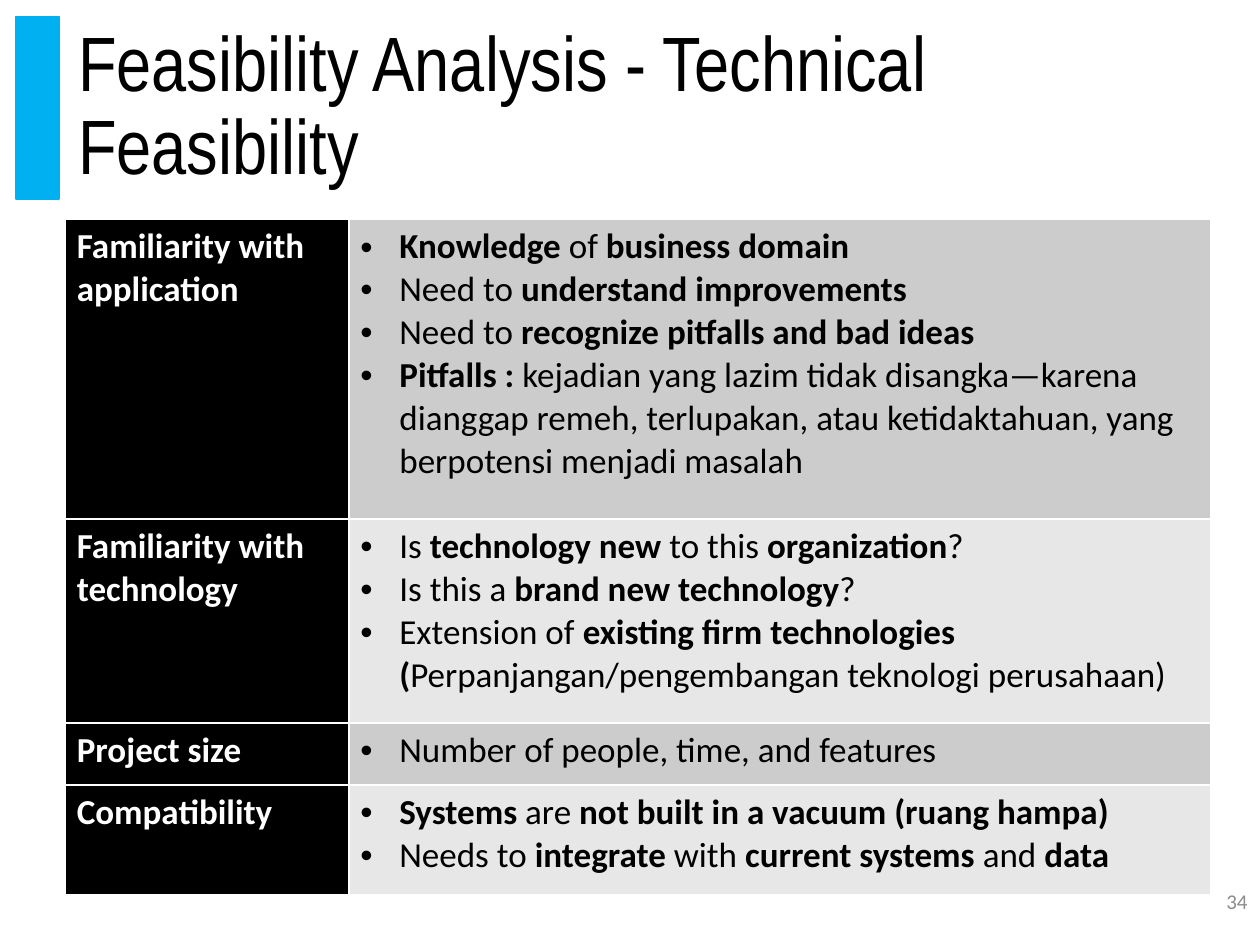
import pptx
import pptx.dml.color
import pptx.enum.shapes
import pptx.enum.text
import pptx.oxml.ns
import pptx.util
from lxml import etree
from pptx.util import Inches

BLACK = pptx.dml.color.RGBColor(0x00, 0x00, 0x00)
WHITE = pptx.dml.color.RGBColor(0xFF, 0xFF, 0xFF)
ACCENT_BLUE = pptx.dml.color.RGBColor(0x00, 0xB0, 0xF0)
DARK_BAND = pptx.dml.color.RGBColor(0xCC, 0xCC, 0xCC)
LIGHT_BAND = pptx.dml.color.RGBColor(0xE7, 0xE7, 0xE7)
NUMBER_GRAY = pptx.dml.color.RGBColor(0x8C, 0x8C, 0x8C)

COLUMN_WIDTHS = (2.25, 6.84)
FACTORS = [
    ("Familiarity with application", 2.38, [
        "**Knowledge** of **business domain**",
        "Need to **understand improvements**",
        "Need to **recognize pitfalls and bad ideas**",
        "**Pitfalls : **kejadian yang lazim tidak disangka—karena dianggap remeh, "
        "terlupakan, atau ketidaktahuan, yang berpotensi menjadi masalah",
    ]),
    ("Familiarity with technology", 1.62, [
        "Is **technology new **to this **organization**?",
        "Is this a **brand new technology**?",
        "Extension of **existing firm technologies (**"
        "Perpanjangan/pengembangan teknologi perusahaan)",
    ]),
    ("Project size", 0.49, ["Number of people, time, and features"]),
    ("Compatibility", 0.87, [
        "**Systems** are **not built in a vacuum (ruang hampa)**",
        "Needs to **integrate** with **current systems **and **data**",
    ]),
]


def format_font(font, name, size, color, bold=False):
    """Set the typeface, size, colour and weight of a font."""
    font.name = name
    font.size = pptx.util.Pt(size)
    font.color.rgb = color
    font.bold = bold


def add_marked_runs(paragraph, marked_text, color):
    """Add runs to a paragraph, bold between double asterisks."""
    for index, part in enumerate(marked_text.split("**")):
        if part:
            run = paragraph.add_run()
            run.text = part
            format_font(run.font, "Calibri", 20, color, bold=index % 2 == 1)


def add_bullet(paragraph):
    """Give a paragraph a hanging round bullet."""
    properties = paragraph._p.get_or_add_pPr()
    properties.set("marL", str(Inches(0.31)))
    properties.set("indent", str(Inches(-0.31)))
    bullet_font = etree.SubElement(properties, pptx.oxml.ns.qn("a:buFont"))
    bullet_font.set("typeface", "Arial")
    bullet = etree.SubElement(properties, pptx.oxml.ns.qn("a:buChar"))
    bullet.set("char", "•")


def style_cell(cell, color):
    """Set the margins, white borders and fill of a cell."""
    cell.margin_left = cell.margin_right = Inches(0.09)
    cell.margin_top = cell.margin_bottom = Inches(0.05)
    properties = cell._tc.get_or_add_tcPr()
    for side in ("L", "R", "T", "B"):
        border = etree.SubElement(properties, pptx.oxml.ns.qn(f"a:ln{side}"))
        border.set("w", str(pptx.util.Pt(1)))
        fill = etree.SubElement(border, pptx.oxml.ns.qn("a:solidFill"))
        etree.SubElement(fill, pptx.oxml.ns.qn("a:srgbClr")).set("val", str(WHITE))
    cell.fill.solid()
    cell.fill.fore_color.rgb = color


def add_accent_bar(slide, left, top, width, height):
    """Place the blue bar beside the title."""
    bar = slide.shapes.add_shape(
        pptx.enum.shapes.MSO_SHAPE.RECTANGLE, left, top, width, height)
    bar.shadow.inherit = False
    bar.fill.solid()
    bar.fill.fore_color.rgb = ACCENT_BLUE
    bar.line.color.rgb = ACCENT_BLUE
    bar.line.width = pptx.util.Pt(1)


def place_title(slide, left, top, width, height):
    """Move and format the title placeholder."""
    title = slide.shapes.title
    title.left, title.top, title.width, title.height = left, top, width, height
    frame = title.text_frame
    frame.text = "Feasibility Analysis - Technical Feasibility"
    frame.auto_size = pptx.enum.text.MSO_AUTO_SIZE.NONE
    frame.vertical_anchor = pptx.enum.text.MSO_ANCHOR.MIDDLE
    paragraph = frame.paragraphs[0]
    paragraph.alignment = pptx.enum.text.PP_ALIGN.LEFT
    paragraph.line_spacing = 0.9
    format_font(paragraph.runs[0].font, "Arial Narrow", 44, BLACK)


def add_factor_table(slide, left, top, width, height):
    """Place the table of feasibility factors and their questions."""
    table = slide.shapes.add_table(
        len(FACTORS), len(COLUMN_WIDTHS), left, top, width, height).table
    table.first_row = False
    table.horz_banding = False
    for column, column_width in zip(table.columns, COLUMN_WIDTHS):
        column.width = Inches(column_width)
    for index, (factor, row_height, points) in enumerate(FACTORS):
        table.rows[index].height = Inches(row_height)
        label_cell, points_cell = table.rows[index].cells
        style_cell(label_cell, BLACK)
        style_cell(points_cell, LIGHT_BAND if index % 2 else DARK_BAND)
        add_marked_runs(label_cell.text_frame.paragraphs[0], f"**{factor}**", WHITE)
        frame = points_cell.text_frame
        for number, point in enumerate(points):
            paragraph = frame.add_paragraph() if number else frame.paragraphs[0]
            add_bullet(paragraph)
            add_marked_runs(paragraph, point, BLACK)


def add_slide_number(slide, left, top, width, height):
    """Place the slide number at the lower right."""
    frame = slide.shapes.add_textbox(left, top, width, height).text_frame
    frame.word_wrap = True
    frame.vertical_anchor = pptx.enum.text.MSO_ANCHOR.MIDDLE
    frame.text = "34"
    paragraph = frame.paragraphs[0]
    paragraph.alignment = pptx.enum.text.PP_ALIGN.RIGHT
    format_font(paragraph.runs[0].font, "Calibri", 12, NUMBER_GRAY)


def main():
    """Build and save the slide."""
    presentation = pptx.Presentation()
    presentation.slide_width = Inches(10)
    presentation.slide_height = Inches(7.5)
    slide = presentation.slides.add_slide(presentation.slide_layouts[5])
    add_accent_bar(slide, Inches(0.13), Inches(0.13), Inches(0.34), Inches(1.45))
    place_title(slide, Inches(0.52), Inches(0.13), Inches(9.1), Inches(1.45))
    add_factor_table(slide, Inches(0.52), Inches(1.74), Inches(9.09), Inches(5.36))
    add_slide_number(slide, Inches(7.75), Inches(6.95), Inches(2.25), Inches(0.4))
    presentation.save("out.pptx")


if __name__ == "__main__":
    main()
